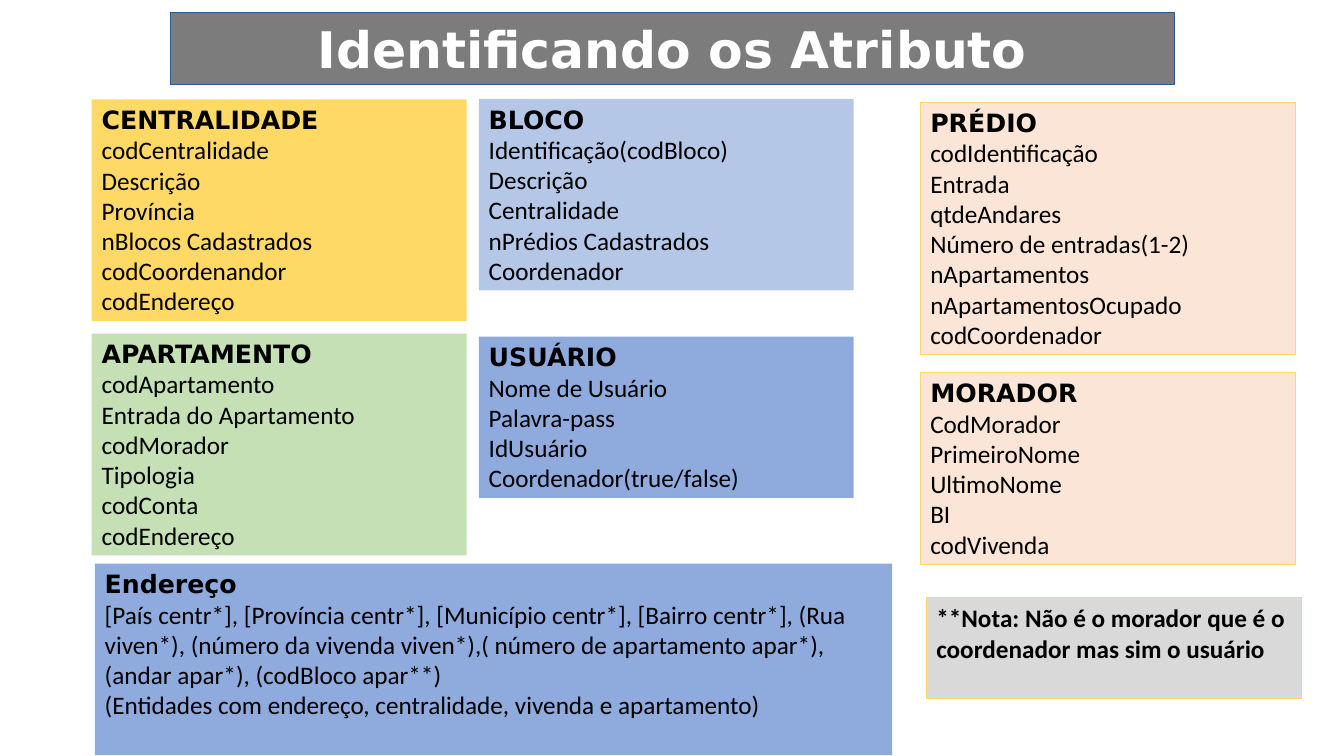
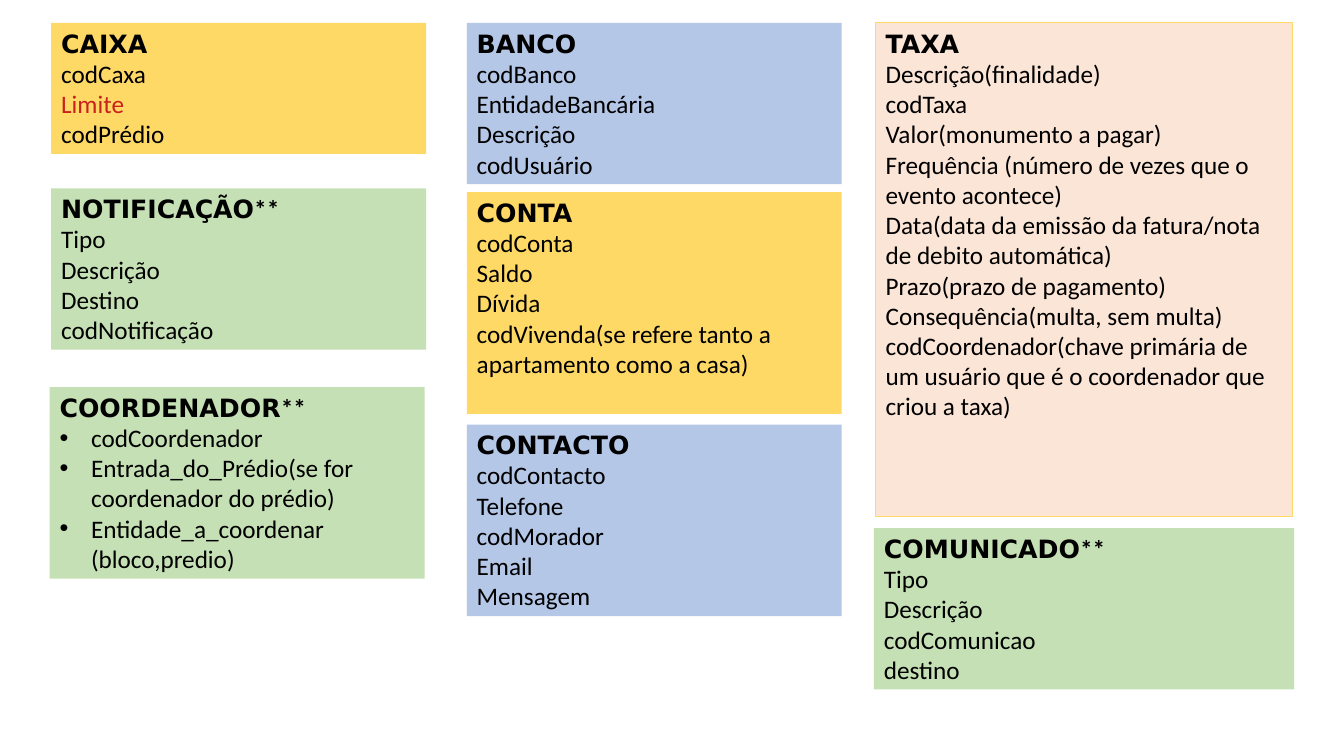
from pptx import Presentation
from pptx.dml.color import RGBColor
from pptx.enum.shapes import MSO_SHAPE as Preset
from pptx.enum.text import MSO_ANCHOR as Anchor, PP_ALIGN as Align
from pptx.oxml.ns import qn
from pptx.util import Pt
from lxml.etree import SubElement

BODY_FONT, HEAD_FONT = "Calibri", "DejaVu Sans"
BLACK, WHITE, RED = "000000", "FFFFFF", "C9211E"
GOLD, SKY, BLUE = "FFD966", "B4C7E7", "8FAADC"
GREEN, PEACH, SILVER = "C5E0B4", "FBE5D6", "D9D9D9"
TITLE_FILL, TITLE_LINE = "7C7C7C", "2F5597"

CARD_WIDTH, LINE_HEIGHT, CARD_PADDING = 267.8, 21.6, 7.2
OUTLINED = {PEACH: GOLD, SILVER: GOLD}
BODY = {"name": BODY_FONT, "size": Pt(18), "bold": False}
BOLD = {**BODY, "bold": True}
HEAD = {**BOLD, "name": HEAD_FONT}
TITLE = {**HEAD, "size": Pt(36)}
FRAME = {"word_wrap": True, "margin_left": Pt(7.2), "margin_right": Pt(7.2),
         "margin_top": Pt(3.6), "margin_bottom": Pt(3.6)}


def color(value):
    return RGBColor.from_string(value)


def apply(target, values):
    for name, value in values.items():
        setattr(target, name, value)


def add_span(para, text, style, ink=BLACK):
    span = para.add_run()
    span.text = text
    apply(span.font, style)
    span.font.color.rgb = color(ink)


def add_bullet(para):
    props = para._p.get_or_add_pPr()
    props.set("marL", str(Pt(22.5)))
    props.set("indent", str(-Pt(22.5)))
    SubElement(props, qn("a:buFont")).set("typeface", "Arial")
    SubElement(props, qn("a:buChar")).set("char", "•")


def add_panel(page, left, top, width, height, fill, line=None, anchor=Anchor.TOP):
    box = page.shapes.add_shape(Preset.RECTANGLE, Pt(left), Pt(top), Pt(width), Pt(height))
    box.shadow.inherit = False
    box.fill.solid()
    box.fill.fore_color.rgb = color(fill)
    if line:
        box.line.color.rgb = color(line)
        box.line.width = Pt(0.75)
    else:
        box.line.fill.background()
    apply(box.text_frame, {**FRAME, "vertical_anchor": anchor})
    return box.text_frame


def add_title(page, left, top, width, height, text):
    frame = add_panel(page, left, top, width, height, TITLE_FILL, TITLE_LINE, Anchor.BOTTOM)
    para = frame.paragraphs[0]
    apply(para, {"alignment": Align.CENTER, "line_spacing": 0.9})
    add_span(para, text, TITLE, WHITE)


def add_card(page, left, top, fill, heading, fields=(), width=CARD_WIDTH, lines=None,
             bullets=False, red=(), head=HEAD):
    height = CARD_PADDING + LINE_HEIGHT * (lines or len(fields) + 1)
    frame = add_panel(page, left, top, width, height, fill, OUTLINED.get(fill))
    para = frame.paragraphs[0]
    para.alignment = Align.LEFT
    name = heading.removesuffix("**")
    add_span(para, name, head)
    if name != heading:
        add_span(para, "**", BOLD)
    for field in fields:
        para = frame.add_paragraph()
        para.alignment = Align.LEFT
        if bullets:
            add_bullet(para)
        add_span(para, field, BODY, RED if field in red else BLACK)


def build_main_entities(page):
    first, second, third = 65.5, 342, 657.4
    add_title(page, 121.7, 8.6, 717.1, 51.8, "Identificando os Atributo")
    add_card(page, first, 71, GOLD, "CENTRALIDADE", [
        "codCentralidade", "Descrição", "Província", "nBlocos Cadastrados",
        "codCoordenandor", "codEndereço"])
    add_card(page, first, 238.3, GREEN, "APARTAMENTO", [
        "codApartamento", "Entrada do Apartamento", "codMorador", "Tipologia",
        "codConta", "codEndereço"])
    add_card(page, second, 70.7, SKY, "BLOCO", [
        "Identificação(codBloco)", "Descrição", "Centralidade",
        "nPrédios Cadastrados", "Coordenador"])
    add_card(page, second, 240.5, BLUE, "USUÁRIO", [
        "Nome de Usuário", "Palavra-pass", "IdUsuário", "Coordenador(true/false)"])
    add_card(page, third, 73.3, PEACH, "PRÉDIO", [
        "codIdentificação", "Entrada", "qtdeAndares", "Número de entradas(1-2)",
        "nApartamentos", "nApartamentosOcupado", "codCoordenador"])
    add_card(page, third, 266.2, PEACH, "MORADOR", [
        "CodMorador", "PrimeiroNome", "UltimoNome", "BI", "codVivenda"])
    add_card(page, 661.7, 427, SILVER,
             "**Nota: Não é o morador que é o coordenador mas sim o usuário",
             lines=3, head=BOLD)
    add_card(page, 67.7, 402.6, BLUE, "Endereço", [
        "[País centr*], [Província centr*], [Município centr*], [Bairro centr*], "
        "(Rua viven*), (número da vivenda viven*),( número de apartamento apar*), "
        "(andar apar*), (codBloco apar**)",
        "(Entidades com endereço, centralidade, vivenda e apartamento)"],
        width=569.5, lines=6)


def build_support_entities(page):
    first, second, third, top = 36.6, 333.4, 625.5, 16.4
    add_card(page, first, top, GOLD, "CAIXA", ["codCaxa", "Limite", "codPrédio"],
             red=["Limite"])
    add_card(page, first, 134.6, GREEN, "NOTIFICAÇÃO**", [
        "Tipo", "Descrição", "Destino", "codNotificação"])
    add_card(page, 35.5, 276.5, GREEN, "COORDENADOR**", [
        "codCoordenador", "Entrada_do_Prédio(se for coordenador do prédio)",
        "Entidade_a_coordenar (bloco,predio)"], lines=6, bullets=True)
    add_card(page, second, top, SKY, "BANCO", [
        "codBanco", "EntidadeBancária", "Descrição", "codUsuário"])
    add_card(page, second, 137.2, GOLD, "CONTA", [
        "codConta", "Saldo", "Dívida",
        "codVivenda(se refere tanto a apartamento como a casa)"], lines=7)
    add_card(page, second, 303.3, SKY, "CONTACTO", [
        "codContacto", "Telefone", "codMorador", "Email", "Mensagem"])
    add_card(page, third, top, PEACH, "TAXA", [
        "Descrição(finalidade)", "codTaxa", "Valor(monumento a pagar)",
        "Frequência (número de vezes que o evento acontece)",
        "Data(data da emissão da fatura/nota de debito automática)",
        "Prazo(prazo de pagamento)", "Consequência(multa, sem multa)",
        "codCoordenador(chave primária de um usuário que é o coordenador que criou a taxa)"],
        width=298, lines=16)
    add_card(page, 624.3, 377.3, GREEN, "COMUNICADO**", [
        "Tipo", "Descrição", "codComunicao", "destino"], width=300.2)


def main():
    deck = Presentation()
    apply(deck, {"slide_width": Pt(960), "slide_height": Pt(540)})
    for build in (build_main_entities, build_support_entities):
        build(deck.slides.add_slide(deck.slide_layouts[6]))
    deck.save("out.pptx")


if __name__ == "__main__":
    main()
